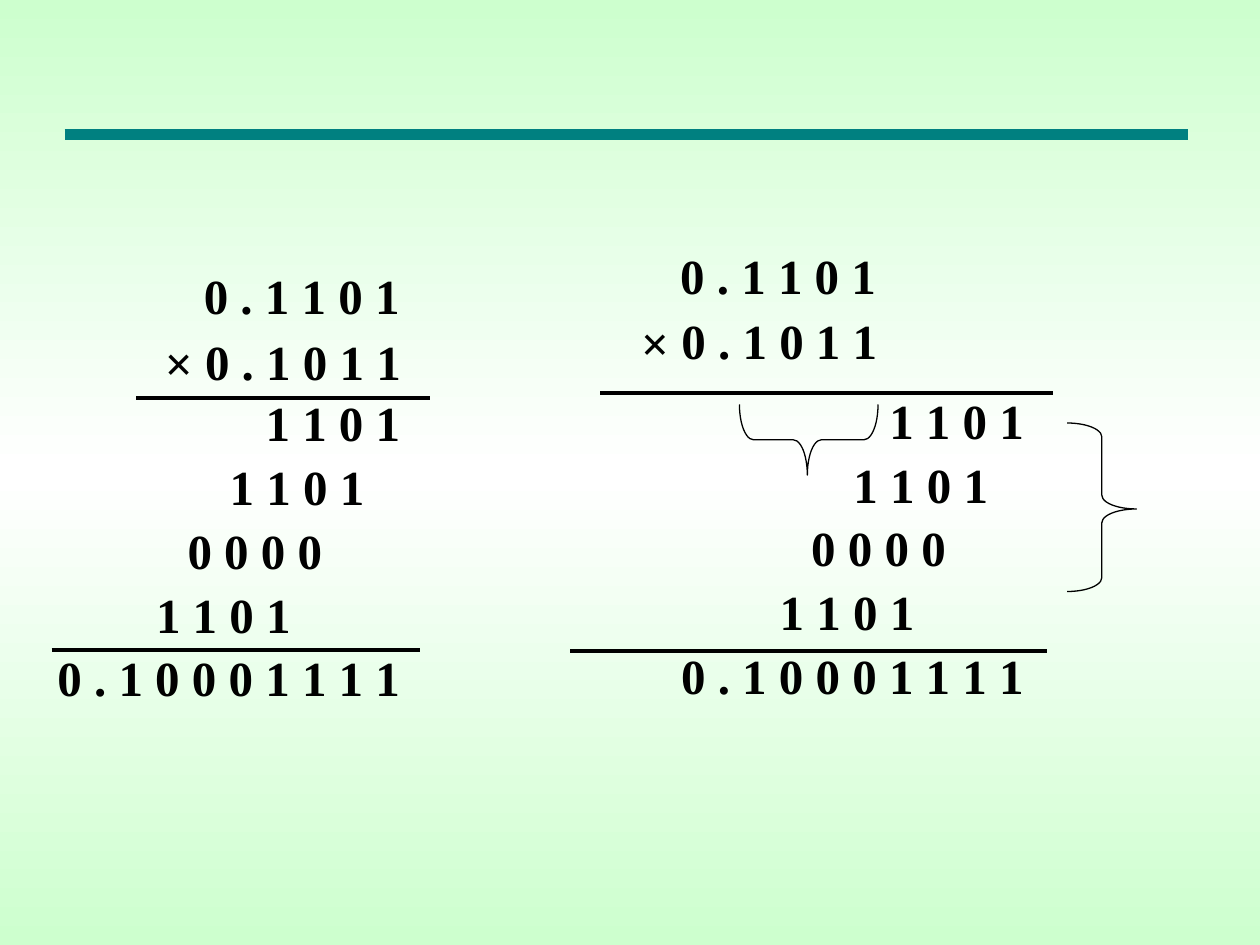
from copy import deepcopy
from pptx import Presentation
from pptx.dml.color import RGBColor
from pptx.enum.shapes import MSO_CONNECTOR as Link, MSO_SHAPE as Shape
from pptx.enum.text import MSO_AUTO_SIZE as Fit
from pptx.oxml.ns import qn
from pptx.oxml.xmlchemy import OxmlElement as Tag
from pptx.util import Pt


def rgb(code):
    return RGBColor.from_string(code)


class Board:
    font, size, ink = "Times New Roman", 28, "000000"
    high = 41
    step = 36.4

    def __init__(self, slide):
        self.slide = slide

    def back(self, edge, mid):
        """Fill the background with a vertical edge-mid-edge gradient."""
        fill = self.slide.background.fill
        fill.gradient()
        fill.gradient_angle = 270
        for stop in fill.gradient_stops:
            stop.color.rgb = rgb(edge)
        stops = next(self.slide.element.iter(qn("a:gsLst")))
        stops.insert(1, deepcopy(stops[0]))
        centre = fill.gradient_stops[1]
        centre.position = 0.5
        centre.color.rgb = rgb(mid)

    def rule(self, left, right, y, color=ink, width=2.25):
        line = self.slide.shapes.add_connector(
            Link.STRAIGHT, Pt(left), Pt(y), Pt(right), Pt(y))
        line.line.color.rgb = rgb(color)
        line.line.width = Pt(width)
        line.element.spPr.append(Tag("a:effectLst"))

    def text(self, words, x, y, wide):
        box = self.slide.shapes.add_textbox(Pt(x), Pt(y), Pt(wide), Pt(self.high))
        frame = box.text_frame
        frame.word_wrap = False
        frame.auto_size = Fit.SHAPE_TO_FIT_TEXT
        para = frame.paragraphs[0]
        para.text = words
        font = para.font
        font.name, font.size, font.bold = self.font, Pt(self.size), True
        font.color.rgb = rgb(self.ink)

    def brace(self, x, y, wide, high, turn):
        form = self.slide.shapes.add_shape(
            Shape.LEFT_BRACE, Pt(x), Pt(y), Pt(wide), Pt(high))
        form.rotation = turn
        form.adjustments[0] = 0.2
        form.adjustments[1] = 0.49
        form.shadow.inherit = False
        form.fill.background()
        form.line.color.rgb = rgb(self.ink)
        form.line.width = Pt(0.75)

    def sum(self, top, part, bars):
        """Draw a long multiplication from its factor and partial corners."""
        x, y = top
        self.text("0 . 1 1 0 1", x, y, 126)
        self.text("0 . 1 0 1 1", x + 0.7, y + 37.4, 126)
        self.text("×", x - 22.3, y + 38.1, 30.2)
        x, y = part
        rows = [("1 1 0 1", 0), ("1 1 0 1", 20.5),
                ("0 0 0 0", 44.6), ("1 1 0 1", 62.6)]
        for row, (words, shift) in enumerate(rows):
            self.text(words, x - shift, y + row * self.step, 91.4)
        self.text("0 . 1 0 0 0 1 1 1 1", x - 119, y + len(rows) * self.step, 210.2)
        for bar in bars:
            self.rule(*bar)


def main():
    deck = Presentation()
    deck.slide_width, deck.slide_height = Pt(720), Pt(540)
    board = Board(deck.slides.add_slide(deck.slide_layouts[6]))
    board.back("CDFFCE", "FFFFFF")
    board.rule(37, 679, 77, "008080", 6)
    board.sum((109.4, 148.3), (144.7, 221),
              [(78, 245.5, 227.3), (29.5, 240, 371.3)])
    board.sum((381.6, 136.8), (501.1, 219.6),
              [(343, 602, 224.6), (326, 598.5, 372)])
    board.brace(442, 211.7, 40.3, 79.2, 270)
    board.brace(609.8, 241.7, 39.6, 96.3, 180)
    deck.save("out.pptx")


if __name__ == "__main__":
    main()
